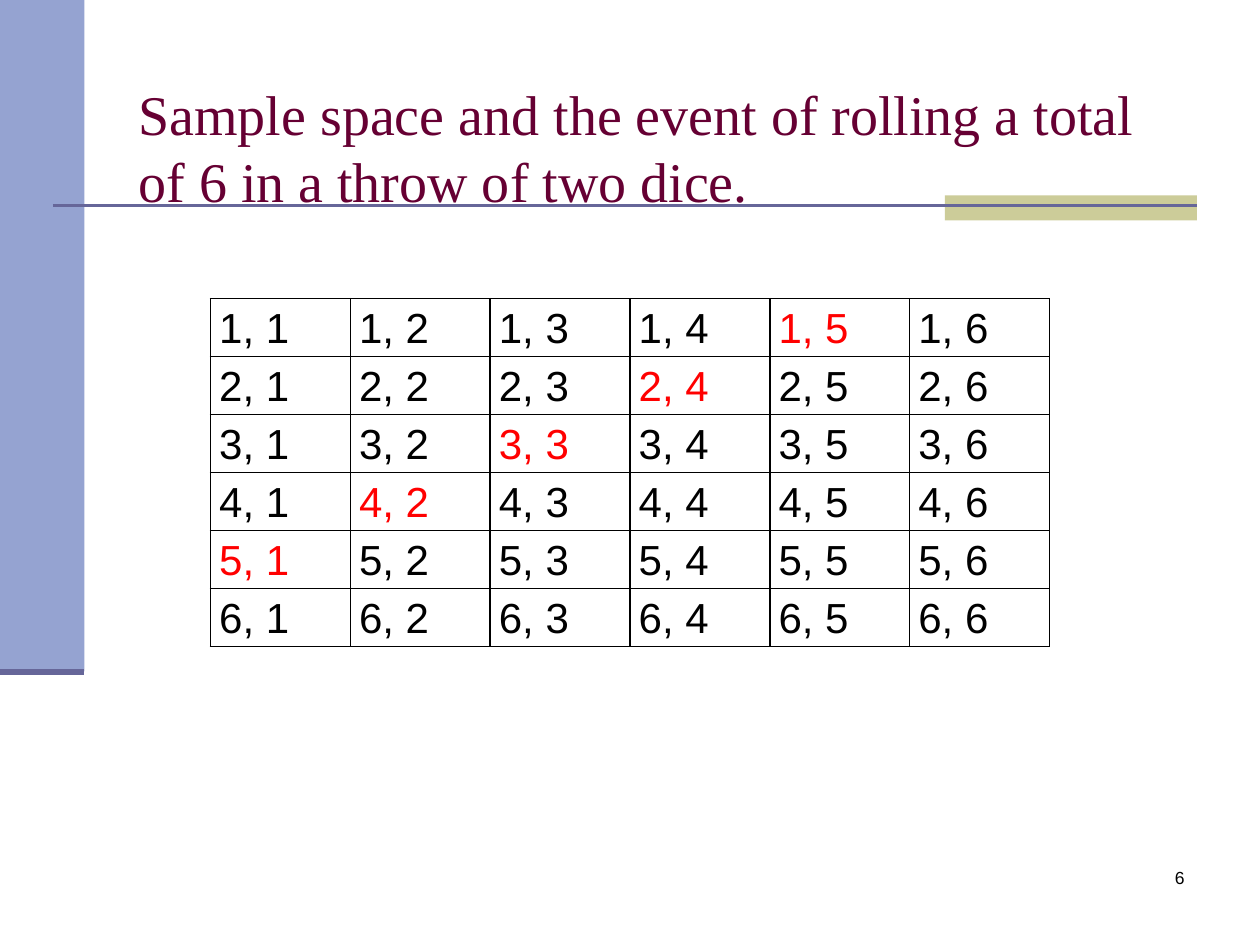
from dataclasses import dataclass

from lxml.etree import SubElement
from pptx import Presentation
from pptx.dml.color import RGBColor
from pptx.enum.shapes import MSO_CONNECTOR, MSO_SHAPE
from pptx.enum.text import MSO_ANCHOR, PP_ALIGN
from pptx.oxml.ns import qn
from pptx.slide import Slide
from pptx.table import _Cell
from pptx.util import Inches, Pt

BLACK = RGBColor(0x00, 0x00, 0x00)
RED = RGBColor(0xFF, 0x00, 0x00)
PLUM = RGBColor(0x66, 0x00, 0x33)
PERIWINKLE = RGBColor(0x95, 0xA3, 0xD1)
KHAKI = RGBColor(0xCC, 0xCC, 0x99)
SLATE = RGBColor(0x66, 0x66, 0x99)

FACES = range(1, 7)
EVENT_TOTAL = 6
COLUMN_WIDTH = Inches(1.11)
ROW_HEIGHT = Inches(0.46)


@dataclass(frozen=True)
class Block:
    left: float
    top: float
    width: float
    height: float
    color: RGBColor


@dataclass(frozen=True)
class Rule:
    """A horizontal line."""
    start: float
    end: float
    y: float
    weight: float


@dataclass(frozen=True)
class Label:
    text: str
    left: float
    top: float
    width: float
    height: float
    font: str
    size: float
    color: RGBColor
    align: PP_ALIGN = PP_ALIGN.LEFT
    anchor: MSO_ANCHOR = MSO_ANCHOR.TOP


BLOCKS = [
    Block(0, 0, 0.67, 5.33, PERIWINKLE),
    Block(7.5, 1.55, 2, 0.2, KHAKI),
]
RULES = [Rule(0.42, 9.5, 1.63, 1.5), Rule(0, 0.67, 5.33, 3.5)]
LABELS = [
    Label("Sample space and the event of rolling a total of 6 in a throw of two dice.",
          1, 0.3, 8.5, 1.73, "Times New Roman", 32, PLUM, anchor=MSO_ANCHOR.MIDDLE),
    Label("6", 7.42, 6.83, 2.08, 0.5, "Arial", 10, BLACK, align=PP_ALIGN.RIGHT),
]
CELL_FORMAT = {
    "margin_left": Inches(0.07),
    "margin_right": Inches(0.07),
    "margin_top": 0,
    "margin_bottom": 0,
}
PAIR_FORMAT = {"line_spacing": 1.15, "space_after": Pt(6)}


def set_attributes(target: object, values: dict) -> None:
    for name, value in values.items():
        setattr(target, name, value)


def set_font(font: object, name: str, size: float, color: RGBColor) -> None:
    set_attributes(font, {"name": name, "size": Pt(size)})
    font.color.rgb = color


def draw_block(slide: Slide, block: Block) -> None:
    shape = slide.shapes.add_shape(
        MSO_SHAPE.RECTANGLE, Inches(block.left), Inches(block.top),
        Inches(block.width), Inches(block.height))
    shape.shadow.inherit = False
    shape.fill.solid()
    shape.fill.fore_color.rgb = block.color
    shape.line.fill.background()


def draw_rule(slide: Slide, rule: Rule) -> None:
    connector = slide.shapes.add_connector(
        MSO_CONNECTOR.STRAIGHT, Inches(rule.start), Inches(rule.y),
        Inches(rule.end), Inches(rule.y))
    connector.line.color.rgb = SLATE
    connector.line.width = Pt(rule.weight)
    SubElement(connector._element.spPr, qn("a:effectLst"))


def draw_label(slide: Slide, label: Label) -> None:
    box = slide.shapes.add_textbox(
        Inches(label.left), Inches(label.top), Inches(label.width), Inches(label.height))
    frame = box.text_frame
    set_attributes(frame, {"word_wrap": True, "vertical_anchor": label.anchor})
    paragraph = frame.paragraphs[0]
    paragraph.alignment = label.align
    run = paragraph.add_run()
    run.text = label.text
    set_font(run.font, label.font, label.size, label.color)


def set_borders(cell: _Cell) -> None:
    properties = cell._tc.get_or_add_tcPr()
    for position, side in enumerate(("a:lnL", "a:lnR", "a:lnT", "a:lnB")):
        border = SubElement(properties, qn(side), w=str(Pt(1)))
        fill = SubElement(border, qn("a:solidFill"))
        SubElement(fill, qn("a:srgbClr"), val=str(BLACK))
        properties.insert(position, border)  # borders precede the cell fill


def draw_sample_space(slide: Slide) -> None:
    """Every pair of faces, with the pairs of the event in red."""
    count = len(FACES)
    table = slide.shapes.add_table(
        count, count, Inches(1.67), Inches(2.37),
        COLUMN_WIDTH * count, ROW_HEIGHT * count).table
    set_attributes(table, {"first_row": False, "horz_banding": False})
    for column in table.columns:
        column.width = COLUMN_WIDTH
    for row in table.rows:
        row.height = ROW_HEIGHT
    for first in FACES:
        for second in FACES:
            cell = table.cell(first - 1, second - 1)
            set_attributes(cell, CELL_FORMAT)
            cell.fill.background()
            set_borders(cell)
            paragraph = cell.text_frame.paragraphs[0]
            set_attributes(paragraph, PAIR_FORMAT)
            run = paragraph.add_run()
            run.text = f"{first}, {second}"
            color = RED if first + second == EVENT_TOTAL else BLACK
            set_font(run.font, "Arial", 24, color)


def main() -> None:
    presentation = Presentation()
    presentation.slide_width = Inches(10)
    presentation.slide_height = Inches(7.5)
    slide = presentation.slides.add_slide(presentation.slide_layouts[6])
    for block in BLOCKS:
        draw_block(slide, block)
    for rule in RULES:
        draw_rule(slide, rule)
    for label in LABELS:
        draw_label(slide, label)
    draw_sample_space(slide)
    presentation.save("out.pptx")


if __name__ == "__main__":
    main()
